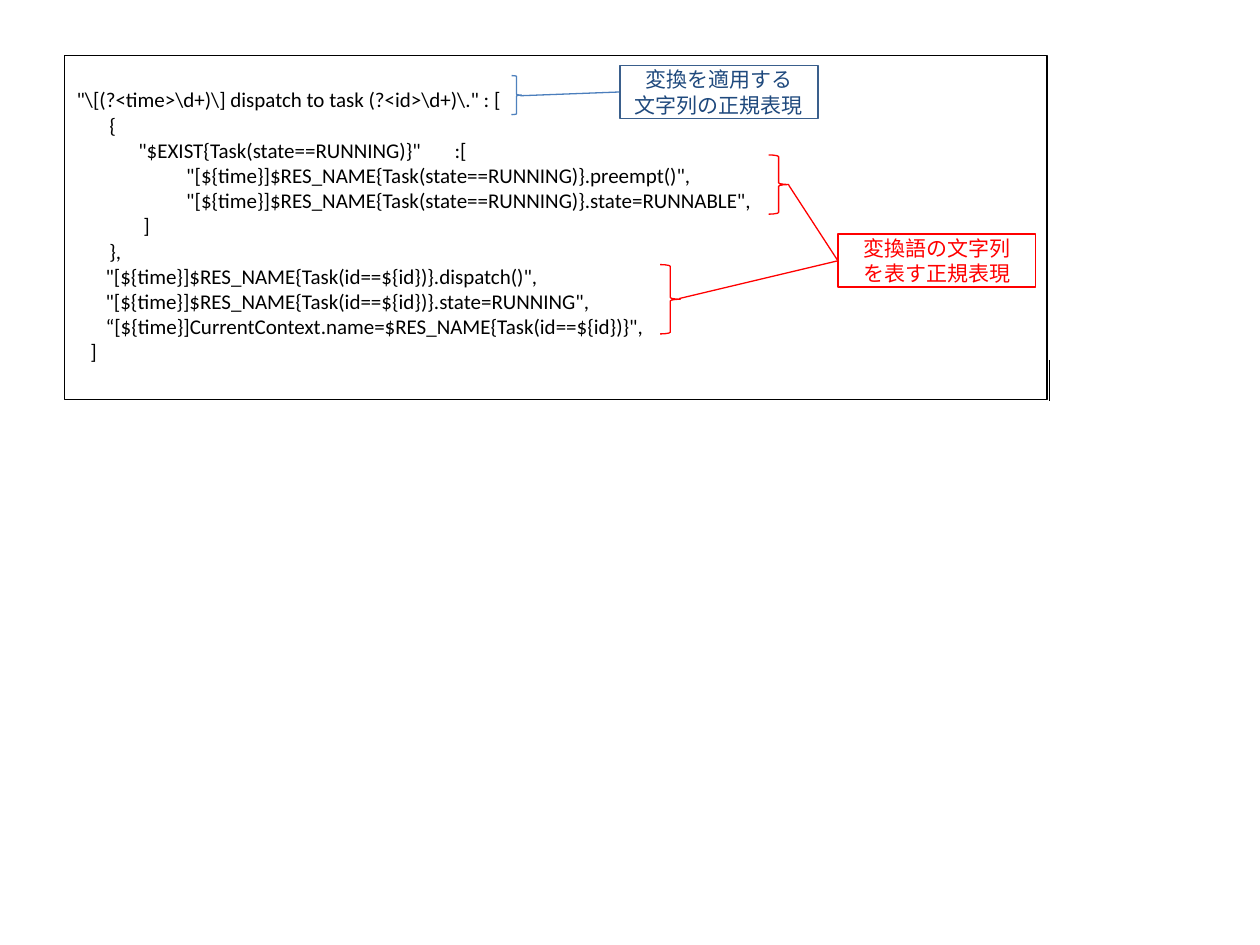
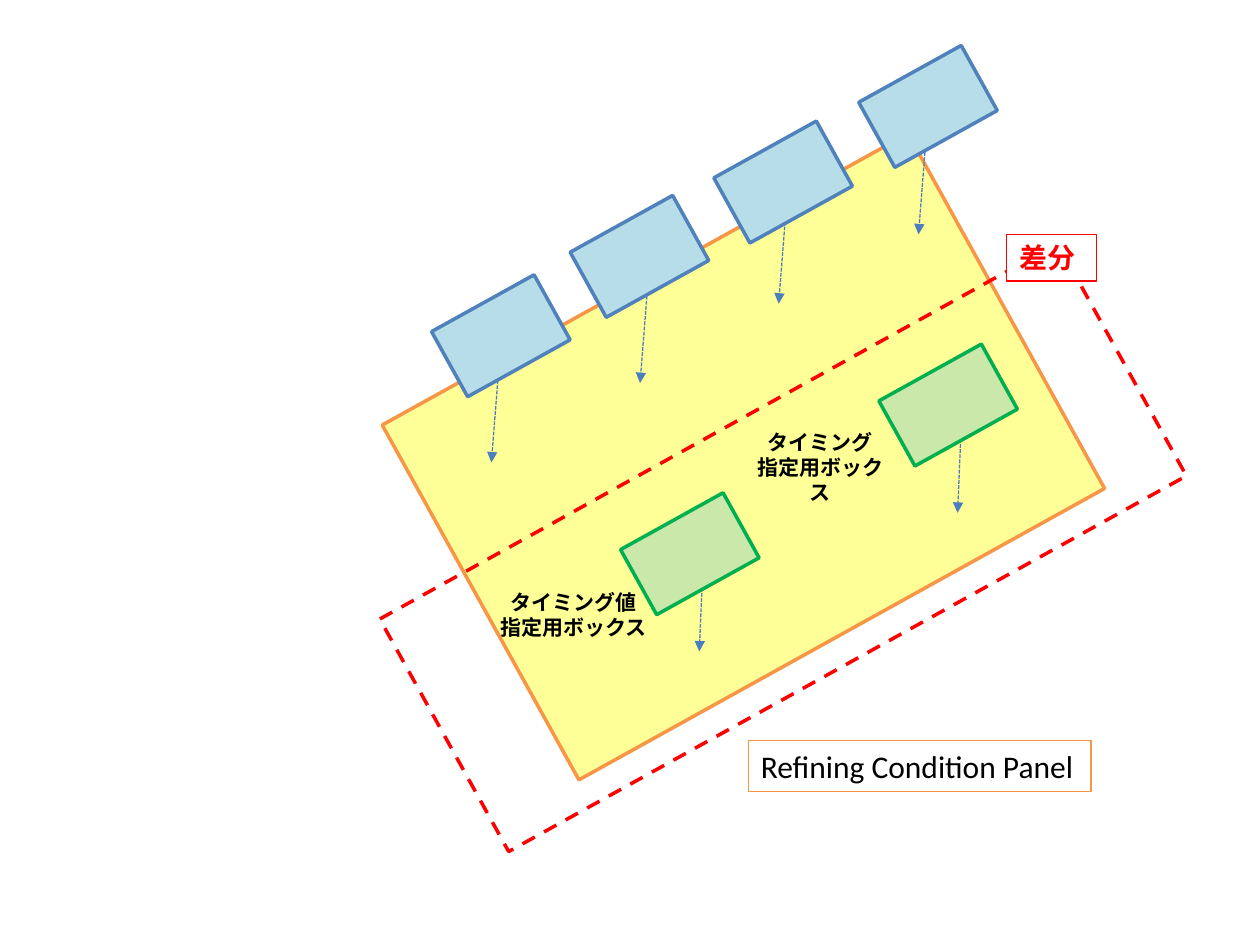
from lxml import etree
from pptx import Presentation
from pptx.dml.color import RGBColor
from pptx.enum.dml import MSO_LINE
from pptx.enum.shapes import MSO_CONNECTOR, MSO_SHAPE
from pptx.enum.text import MSO_ANCHOR, PP_ALIGN
from pptx.oxml.ns import qn
from pptx.util import Pt

PX = 9144  # 100 px to the inch
FONT = "Calibri"
RECTANGLE = MSO_SHAPE.RECTANGLE
PROCESS = MSO_SHAPE.FLOWCHART_PROCESS
BRACE = MSO_SHAPE.RIGHT_BRACE
LEFT, CENTER = PP_ALIGN.LEFT, PP_ALIGN.CENTER
TOP, MIDDLE = MSO_ANCHOR.TOP, MSO_ANCHOR.MIDDLE
DASH, SHORT_DASH = MSO_LINE.DASH, MSO_LINE.SQUARE_DOT
TILT = 61

COLORS = {
    "black": "000000",
    "white": "FFFFFF",
    "red": "FF0000",
    "navy": "1F497D",
    "steel": "3A5F8C",
    "blue": "4F81BD",
    "connector": "4B7EBC",
    "pale blue": "B7DEE8",
    "orange": "F79646",
    "yellow": "FFFF97",
    "green": "00B050",
    "pale green": "CAE8AA",
}


def add_shape(slide, kind, box, fill=None, outline=None, width=0.75, rotation=0, dash=None,
              lines=(), size=12, color="black", bold=False, align=LEFT, anchor=TOP):
    """Add a preset shape at box (left, top, width, height), one paragraph per text line."""
    shape = slide.shapes.add_shape(kind, *(value * PX for value in box))
    shape.shadow.inherit = False
    shape.rotation = rotation
    if fill:
        shape.fill.solid()
        shape.fill.fore_color.rgb = RGBColor.from_string(COLORS[fill])
    else:
        shape.fill.background()
    if outline:
        shape.line.color.rgb = RGBColor.from_string(COLORS[outline])
        shape.line.width = Pt(width)
        if dash:
            shape.line.dash_style = dash
    else:
        shape.line.fill.background()
    if lines:
        frame = shape.text_frame
        frame.text = "\n".join(lines)
        frame.word_wrap = True
        frame.vertical_anchor = anchor
        for paragraph in frame.paragraphs:
            paragraph.alignment = align
            for run in paragraph.runs:
                run.font.name = FONT
                run.font.size = Pt(size)
                run.font.bold = bold
                run.font.color.rgb = RGBColor.from_string(COLORS[color])
    return shape


def add_line(slide, start, end, color, arrow=False):
    line = slide.shapes.add_connector(
        MSO_CONNECTOR.STRAIGHT, *(value * PX for value in (*start, *end)))
    line.line.color.rgb = RGBColor.from_string(COLORS[color])
    line.line.width = Pt(0.75)
    properties = line._element.spPr
    if arrow:
        line.line.dash_style = SHORT_DASH
        etree.SubElement(properties.find(qn("a:ln")), qn("a:tailEnd"), type="triangle")
    etree.SubElement(properties, qn("a:effectLst"))


presentation = Presentation()
presentation.slide_width = 1000 * PX
presentation.slide_height = 750 * PX
blank = presentation.slide_layouts[6]

# Slide 1: conversion rule with annotated regular expressions
slide = presentation.slides.add_slide(blank)
rule_lines = [  # first-line indent, text
    (0, r'"\[(?<time>\d+)\] dispatch to task (?<id>\d+)\." : ['),
    (26, "{"),
    (49, '"$EXIST{Task(state==RUNNING)}"\t:['),
    (87, '"[${time}]$RES_NAME{Task(state==RUNNING)}.preempt()",'),
    (87, '"[${time}]$RES_NAME{Task(state==RUNNING)}.state=RUNNABLE",'),
    (53, "]"),
    (26, "},"),
    (23, '"[${time}]$RES_NAME{Task(id==${id})}.dispatch()",'),
    (23, '"[${time}]$RES_NAME{Task(id==${id})}.state=RUNNING",'),
    (23, '“[${time}]CurrentContext.name=$RES_NAME{Task(id==${id})}",'),
    (11, "]"),
]
rule_box = add_shape(slide, RECTANGLE, (51, 44, 780, 273), outline="black",
                     lines=[text for _, text in rule_lines])
rule_box.text_frame.margin_top = 25 * PX
for paragraph, (indent, _) in zip(rule_box.text_frame.paragraphs, rule_lines):
    properties = paragraph._p.get_or_add_pPr()
    properties.set("marL", "0")
    properties.set("indent", str(indent * PX))

add_line(slide, (413, 76), (492, 73), "connector")
for left, top, outline, color, lines in [
    (492, 52, "steel", "navy", ["変換を適用する", "文字列の正規表現"]),
    (665, 186, "red", "red", ["変換語の文字列", "を表す正規表現"]),
]:
    add_shape(slide, RECTANGLE, (left, top, 157, 42), outline=outline, width=1,
              lines=lines, color=color, align=CENTER, anchor=MIDDLE)
for brace_tip in [(626, 147), (539, 237)]:
    add_line(slide, brace_tip, (665, 207), "red")
for box, outline in [
    ((610, 123, 16, 47), "red"),
    ((524, 210, 16, 55), "red"),
    ((406, 60, 8, 31), "blue"),
]:
    add_shape(slide, BRACE, box, outline=outline)
add_line(slide, (833, 286), (833, 318), "black")

# Slide 2: tilted condition panel
slide = presentation.slides.add_slide(blank)
add_shape(slide, PROCESS, (429, 124, 322, 477), "yellow", "orange", 2, TILT)

condition_boxes = [(707, 38), (592, 98), (478, 157), (368, 220)]
condition_arrows = [(737, 84), (626, 139), (516, 202), (398, 265)]
timing_boxes = [(723, 275), (518, 393)]
timing_arrows = [(763, 336), (558, 446)]
for boxes, arrows, (shift, drop), fill, outline in [
    (condition_boxes, condition_arrows, (-8, 102), "pale blue", "blue"),
    (timing_boxes, timing_arrows, (-3, 71), "pale green", "green"),
]:
    for x, y in arrows:
        add_line(slide, (x, y), (x + shift, y + drop), "connector", arrow=True)
    for left, top in boxes:
        add_shape(slide, PROCESS, (left, top, 59, 93), fill, outline, 2, TILT)

add_shape(slide, RECTANGLE, (594, 588, 272, 40), "white", "orange",
          lines=["Refining Condition Panel"], size=18)
for box, first_line in [
    ((382, 463, 147, 50), "タイミング値"),
    ((587, 336, 128, 50), "タイミング"),
]:
    add_shape(slide, RECTANGLE, box, lines=[first_line, "指定用ボックス"],
              bold=True, align=CENTER)
add_shape(slide, PROCESS, (516, 127, 211, 615), outline="red", width=2,
          rotation=TILT, dash=DASH)
add_shape(slide, RECTANGLE, (799, 186, 71, 37), "white", "red",
          lines=["差分"], size=16, color="red", bold=True)

presentation.save("out.pptx")
